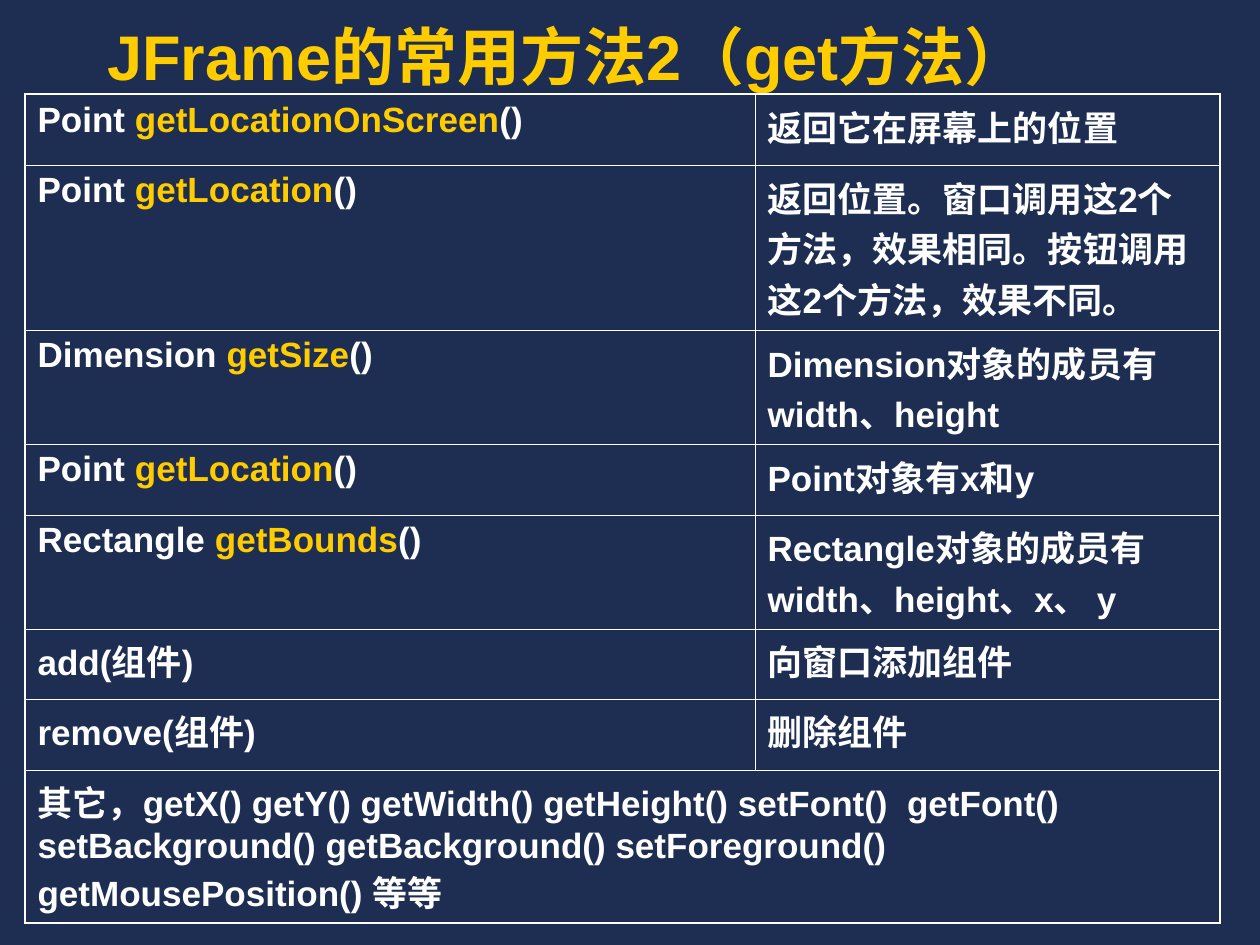
from dataclasses import dataclass

from lxml.etree import SubElement
from pptx import Presentation
from pptx.dml.color import RGBColor
from pptx.enum.text import MSO_ANCHOR, PP_ALIGN
from pptx.oxml.ns import qn
from pptx.util import Pt

EMU_PER_PX = 914400 / 126


@dataclass(frozen=True)
class Theme:
    background: str = "1E2E53"
    text: str = "FFFFFF"
    accent: str = "FFCC00"
    font: str = "Arial"
    title_size: int = 36
    body_size: int = 20
    outer_line: float = 1.08
    inner_line: float = 0.45


THEME = Theme()
COLUMN_WIDTHS = (730, 465)
ROW_HEIGHTS = (71, 165, 114, 71, 114, 70, 71, 153)
METHODS = (
    (("Point", " getLocationOnScreen", "()"), "返回它在屏幕上的位置"),
    (("Point", " getLocation", "()"),
     "返回位置。窗口调用这2个方法，效果相同。按钮调用这2个方法，效果不同。"),
    (("Dimension ", "getSize", "()"), "Dimension对象的成员有width、height"),
    (("Point ", "getLocation", "()"), "Point对象有x和y"),
    (("Rectangle ", "getBounds", "()"), "Rectangle对象的成员有width、height、x、 y"),
    (("add(组件)",), "向窗口添加组件"),
    (("remove(组件)",), "删除组件"),
)
OTHER_METHODS = (
    "其它，getX() getY() getWidth() getHeight() setFont()  getFont() "
    "setBackground() getBackground() setForeground() getMousePosition() 等等"
)


def px(length):
    return round(length * EMU_PER_PX)


def style_span(span, size, color):
    span.font.name = THEME.font
    span.font.size = Pt(size)
    span.font.bold = True
    span.font.color.rgb = RGBColor.from_string(color)


def add_title(page, text):
    box = page.shapes.add_textbox(px(95), px(35), px(1071), px(64))
    frame = box.text_frame
    frame.word_wrap = True
    frame.vertical_anchor = MSO_ANCHOR.BOTTOM
    frame.text = text
    para = frame.paragraphs[0]
    para.alignment = PP_ALIGN.LEFT
    style_span(para.runs[0], THEME.title_size, THEME.accent)


def write_cell(cell, parts):
    para = cell.text_frame.paragraphs[0]
    for index, part in enumerate(parts):
        span = para.add_run()
        span.text = part
        style_span(span, THEME.body_size, THEME.accent if index == 1 else THEME.text)


def frame_cell(cell, outer_sides):
    properties = cell._tc.get_or_add_tcPr()
    for side in "LRTB":
        width = THEME.outer_line if side in outer_sides else THEME.inner_line
        line = SubElement(properties, qn(f"a:ln{side}"), w=str(Pt(width)))
        fill = SubElement(line, qn("a:solidFill"))
        SubElement(fill, qn("a:srgbClr"), val=THEME.text)
    cell.fill.background()


def add_method_table(page):
    rows, columns = len(ROW_HEIGHTS), len(COLUMN_WIDTHS)
    table = page.shapes.add_table(
        rows, columns, px(25), px(94), px(sum(COLUMN_WIDTHS)), px(sum(ROW_HEIGHTS))
    ).table
    table.first_row = False
    table.horz_banding = False
    for column, width in zip(table.columns, COLUMN_WIDTHS):
        column.width = px(width)
    for row, height in zip(table.rows, ROW_HEIGHTS):
        row.height = px(height)

    last = rows - 1
    table.cell(last, 0).merge(table.cell(last, columns - 1))
    for row in range(rows):
        vertical = {0: "T", last: "B"}.get(row, "")
        for column in range(columns):
            horizontal = "LR" if row == last else "LR"[column]
            frame_cell(table.cell(row, column), vertical + horizontal)

    for row, (signature, description) in enumerate(METHODS):
        write_cell(table.cell(row, 0), signature)
        write_cell(table.cell(row, 1), (description,))
    write_cell(table.cell(last, 0), (OTHER_METHODS,))


def main():
    deck = Presentation()
    deck.slide_width, deck.slide_height = px(1260), px(945)
    page = deck.slides.add_slide(deck.slide_layouts[6])
    page.background.fill.solid()
    page.background.fill.fore_color.rgb = RGBColor.from_string(THEME.background)
    add_title(page, "JFrame的常用方法2（get方法）")
    add_method_table(page)
    deck.save("out.pptx")


if __name__ == "__main__":
    main()
